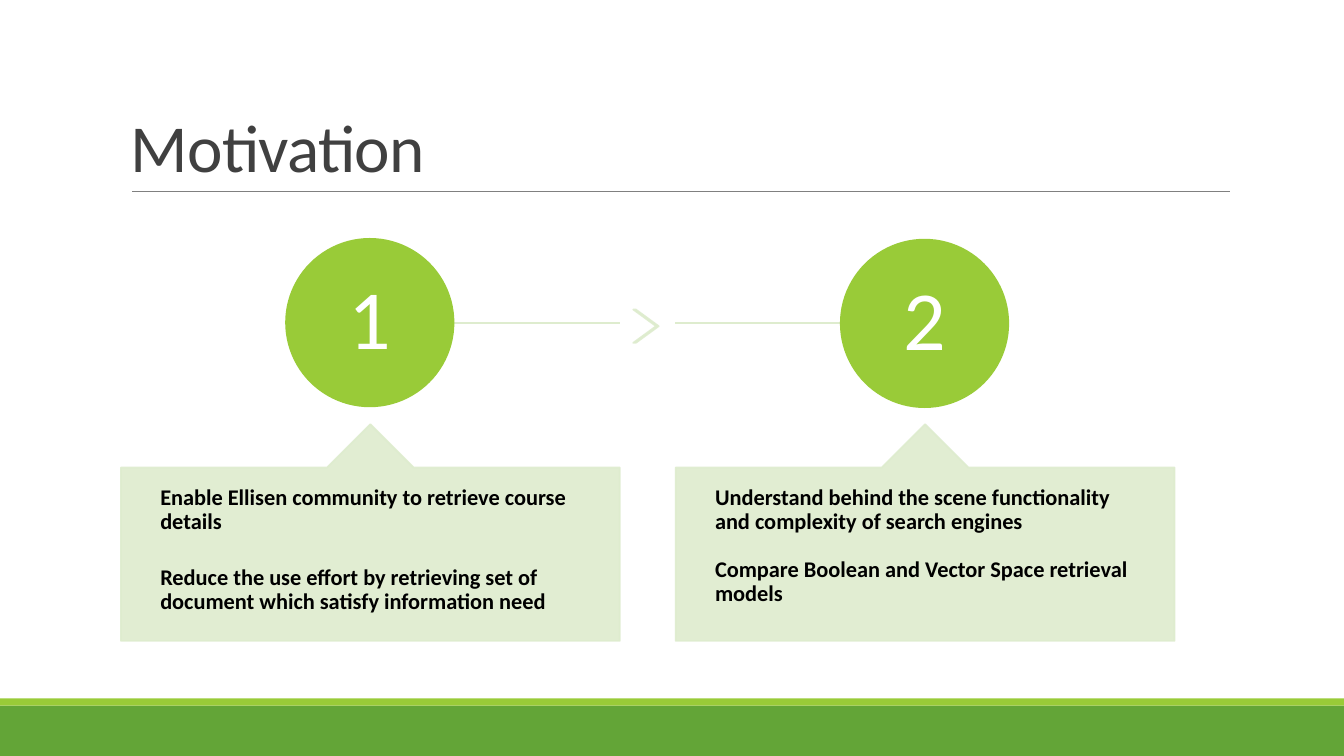
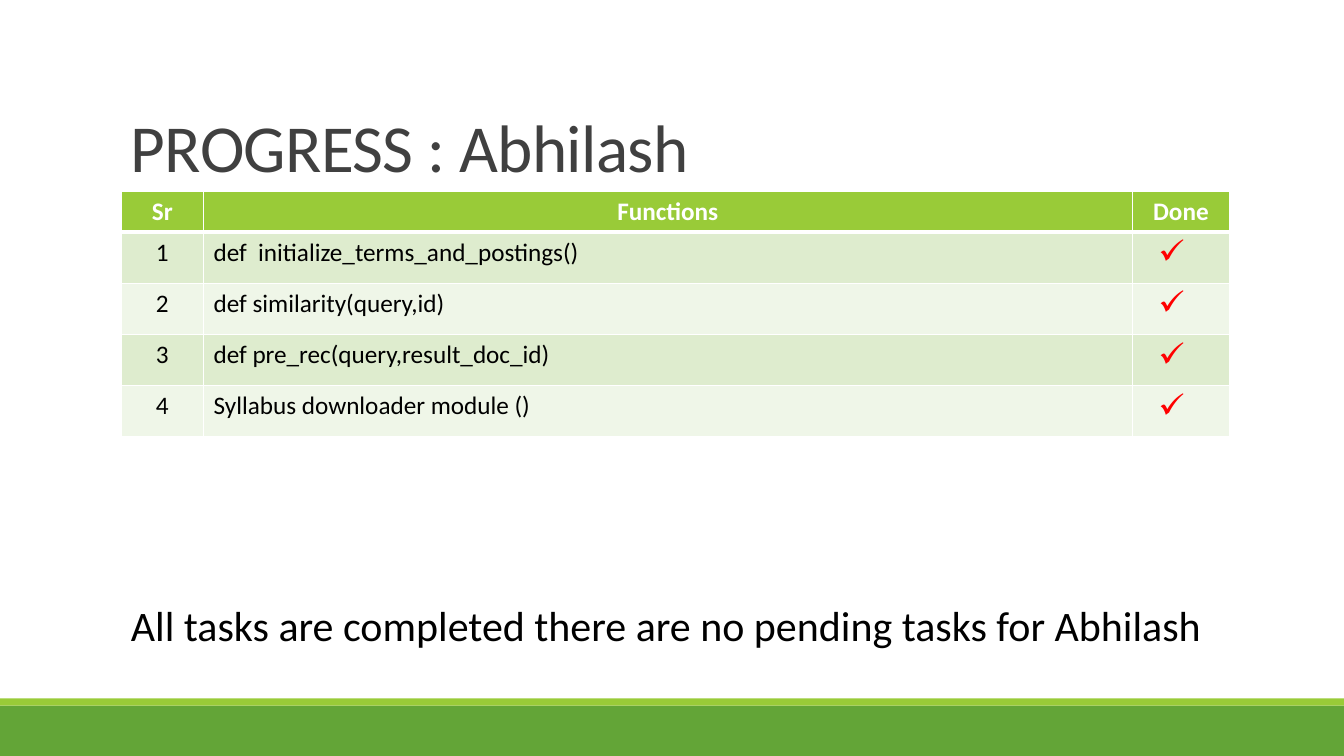
from lxml import etree
from pptx import Presentation
from pptx import util as u
from pptx.dml.color import RGBColor
from pptx.enum import shapes, text
from pptx.oxml import parse_xml
from pptx.oxml.ns import nsdecls, qn

COLORS = {
    "green": "63A537", "lime": "99CB38", "pale": "DEECCE", "paler": "EFF6E8",
    "rule": "808080", "title": "404040", "black": "000000", "white": "FFFFFF",
    "check": "FF0000",
}
LEFT, WIDTH, RULE_TOP = 3.05, 27.94, 4.83
SHAPE = shapes.MSO_SHAPE
CENTER = text.PP_ALIGN.CENTER

presentation = Presentation()
presentation.slide_width = u.Cm(33.87)
presentation.slide_height = u.Cm(19.05)


def add_box(slide, kind, left, top, width, height, color, outline=None, opacity=None):
    shape = slide.shapes.add_shape(kind, u.Cm(left), u.Cm(top), u.Cm(width), u.Cm(height))
    shape.shadow.inherit = False
    shape.fill.solid()
    shape.fill.fore_color.rgb = RGBColor.from_string(COLORS[color])
    if outline:
        shape.line.color.rgb = RGBColor.from_string(COLORS[color])
        shape.line.width = u.Pt(outline)
    else:
        shape.line.fill.background()
    if opacity:
        for tint in shape._element.spPr.iter(qn("a:srgbClr")):
            etree.SubElement(tint, qn("a:alpha")).set("val", str(opacity * 1000))
    return shape


def write(paragraph, words, size, color, bold=False, align=text.PP_ALIGN.LEFT):
    paragraph.text = words
    paragraph.alignment = align
    paragraph.font.name = "Calibri"
    paragraph.font.size = u.Pt(size)
    paragraph.font.bold = bold
    paragraph.font.color.rgb = RGBColor.from_string(COLORS[color])


steps = [
    ("1", 6.02, 22.8, ["Enable Ellisen community to retrieve course details",
                       "Reduce the use effort by retrieving set of document which satisfy information need"]),
    ("2", 6.04, 17.3, ["Understand behind the scene functionality and complexity of search engines",
                       "Compare Boolean and Vector Space retrieval models"]),
]
STEP_PITCH = 13.98
links = [(10.03, 15.62, 8.13), (17.02, 23.32, 8.14)]
rule = (3.33, 31, RULE_TOP)

slides = []
for heading, lines in [("Motivation", links), ("PROGRESS : Abhilash", [])]:
    slide = presentation.slides.add_slide(presentation.slide_layouts[6])
    slides.append(slide)
    add_box(slide, SHAPE.RECTANGLE, 0, 17.78, 33.87, 1.27, "green")
    add_box(slide, SHAPE.RECTANGLE, 0, 17.6, 33.87, 0.18, "lime")
    for start, end, top in [rule] + lines:
        line = slide.shapes.add_connector(
            shapes.MSO_CONNECTOR.STRAIGHT, u.Cm(start), u.Cm(top), u.Cm(end), u.Cm(top))
        is_rule = top == RULE_TOP
        line.line.color.rgb = RGBColor.from_string(COLORS["rule" if is_rule else "pale"])
        line.line.width = u.Pt(0.5 if is_rule else 1.25)
        etree.SubElement(line._element.spPr, qn("a:effectLst"))
    title = slide.shapes.add_textbox(u.Cm(LEFT), u.Cm(0.79), u.Cm(WIDTH), u.Cm(4.04))
    title.text_frame.word_wrap = True
    title.text_frame.vertical_anchor = text.MSO_ANCHOR.BOTTOM
    paragraph = title.text_frame.paragraphs[0]
    write(paragraph, heading, 48, "title")
    paragraph.line_spacing = 0.85
    paragraph.runs[0]._r.get_or_add_rPr().set("spc", "-50")

motivation, progress = slides

chevron = add_box(motivation, SHAPE.CHEVRON, 15.96, 7.8, 0.64, 0.84, "pale", 1.25, 90)
chevron.adjustments[0] = 0.9

for index, (number, circle_top, gap, reasons) in enumerate(steps):
    offset = index * STEP_PITCH
    circle = add_box(motivation, SHAPE.OVAL, 7.21 + offset, circle_top, 4.22, 4.22, "lime", 1.25)
    frame = circle.text_frame
    frame.margin_left = frame.margin_right = frame.margin_top = frame.margin_bottom = u.Cm(0.17)
    frame.vertical_anchor = text.MSO_ANCHOR.MIDDLE
    write(frame.paragraphs[0], number, 60, "white", align=CENTER)
    frame.paragraphs[0].line_spacing = 0.9

    callout = add_box(motivation, SHAPE.UP_ARROW_CALLOUT, LEFT + offset, 10.69, 12.57, 5.46,
                      "pale", 1.25, 90)
    for position, value in enumerate([0.5, 0.2, 0.2, 1]):
        callout.adjustments[position] = value
    frame = callout.text_frame
    frame.word_wrap = True
    frame.vertical_anchor = text.MSO_ANCHOR.TOP
    frame.margin_left = frame.margin_right = u.Cm(0.99)
    frame.margin_top = frame.margin_bottom = u.Cm(0.46)
    for order, reason in enumerate(reasons):
        paragraph = frame.add_paragraph() if order else frame.paragraphs[0]
        write(paragraph, reason, 16, "black", bold=True)
        paragraph.line_spacing = 0.9
        paragraph.space_before = u.Pt(gap if order else 0)

functions = [
    "def  initialize_terms_and_postings()",
    "def similarity(query,id)",
    "def pre_rec(query,result_doc_id)",
    "Syllabus downloader module ()",
]
rows = [("Sr", "Functions", "Done")]
rows += [(str(number), function, " ") for number, function in enumerate(functions, 1)]
table = progress.shapes.add_table(
    len(rows), 3, u.Cm(LEFT), u.Cm(RULE_TOP), u.Cm(WIDTH), u.Cm(6.18)).table
for column, width in zip(table.columns, [2.08, 23.4, 2.46]):
    column.width = u.Cm(width)
for row_index, row in enumerate(rows):
    header = row_index == 0
    table.rows[row_index].height = u.Cm(1.02 if header else 1.29)
    fill = "lime" if header else ("paler", "pale")[row_index % 2]
    for column_index, words in enumerate(row):
        cell = table.cell(row_index, column_index)
        cell.fill.solid()
        cell.fill.fore_color.rgb = RGBColor.from_string(COLORS[fill])
        check = column_index == 2 and not header
        color = "white" if header else "check" if check else "black"
        align = CENTER if header or column_index != 1 else text.PP_ALIGN.LEFT
        paragraph = cell.text_frame.paragraphs[0]
        write(paragraph, words, 24 if check else 18, color, header, align)
        if header:
            cell._tc.get_or_add_tcPr().insert(0, parse_xml(
                f'<a:lnB {nsdecls("a")} w="{u.Pt(3)}"><a:solidFill>'
                f'<a:srgbClr val="{COLORS["white"]}"/></a:solidFill></a:lnB>'))
        if check:
            properties = paragraph._p.get_or_add_pPr()
            properties.set("marL", str(u.Cm(0.95)))
            properties.set("indent", str(-u.Cm(0.95)))
            properties.insert(0, parse_xml(
                f'<a:buClr {nsdecls("a")}><a:srgbClr val="{COLORS["check"]}"/></a:buClr>'))
            properties.insert(1, parse_xml(f'<a:buChar {nsdecls("a")} char="✓"/>'))

summary = progress.shapes.add_textbox(u.Cm(LEFT), u.Cm(14.99), u.Cm(WIDTH), u.Cm(1.55))
summary.text_frame.word_wrap = True
write(summary.text_frame.paragraphs[0],
      "All tasks are completed there are no pending tasks for Abhilash", 30, "black")

presentation.save("out.pptx")
